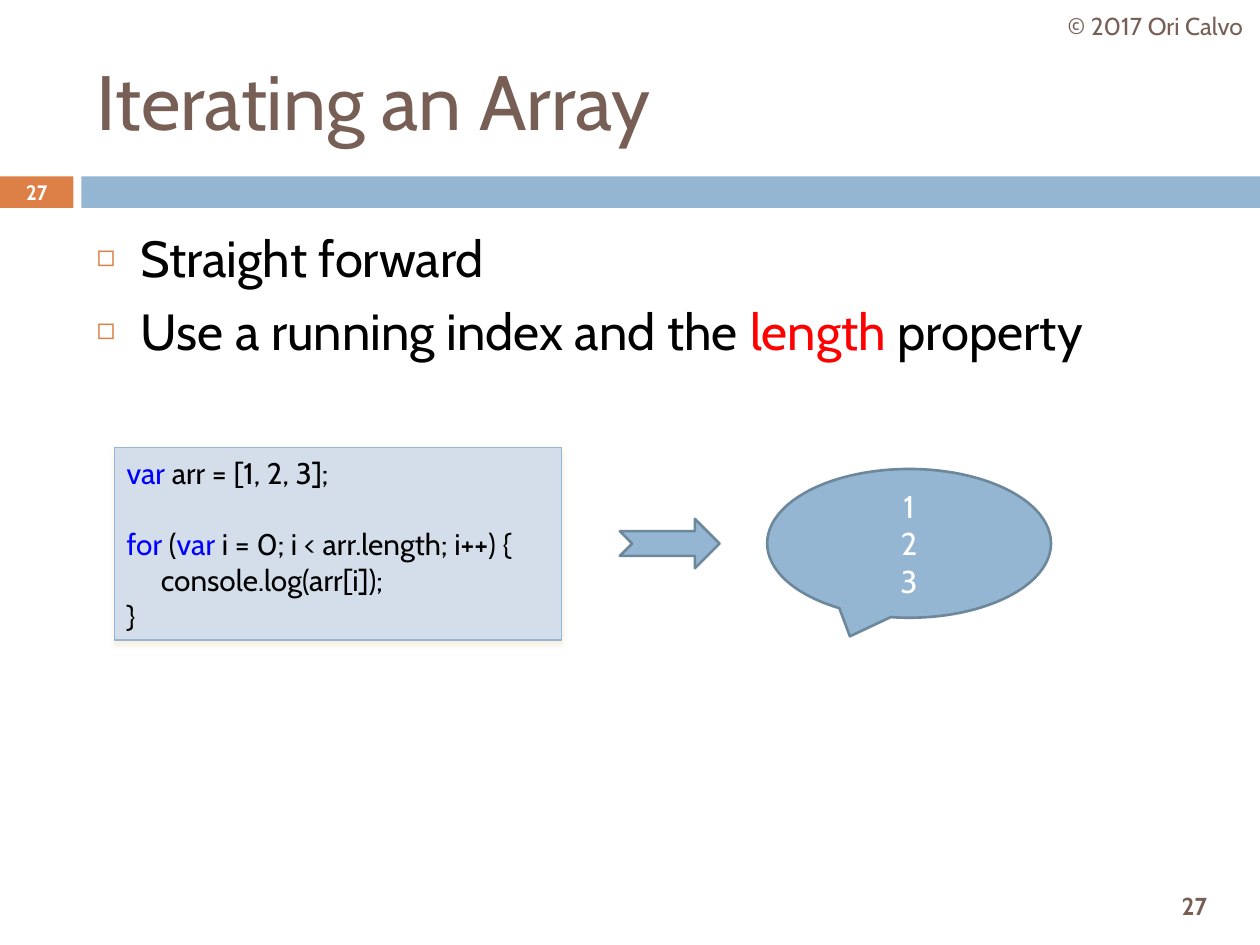
from dataclasses import dataclass
from typing import Optional

from lxml.etree import SubElement
from pptx import Presentation
from pptx.dml.color import RGBColor
from pptx.enum.shapes import MSO_SHAPE
from pptx.enum.text import MSO_ANCHOR, MSO_AUTO_SIZE, PP_ALIGN
from pptx.oxml.ns import qn
from pptx.util import Pt

FONT = "Cabin"
BROWN = RGBColor(0x77, 0x5F, 0x55)
ORANGE = RGBColor(0xDD, 0x80, 0x47)
BLUE = RGBColor(0x94, 0xB6, 0xD2)
DARK_BLUE = RGBColor(0x6D, 0x87, 0x9B)
PALE_BLUE = RGBColor(0xD3, 0xDE, 0xEA)
SAND = RGBColor(0xEB, 0xDD, 0xC3)
KEYWORD = RGBColor(0x00, 0x00, 0xFF)
RED = RGBColor(0xFF, 0x00, 0x00)
BLACK = RGBColor(0x00, 0x00, 0x00)
WHITE = RGBColor(0xFF, 0xFF, 0xFF)


@dataclass
class Span:
    text: str
    color: RGBColor = BLACK


@dataclass
class Line:
    spans: list[Span]
    before: float = 0
    indent: float = 0


@dataclass
class Area:
    left: float
    top: float
    width: float
    height: float

    def lengths(self) -> tuple:
        return Pt(self.left), Pt(self.top), Pt(self.width), Pt(self.height)


@dataclass
class Block:
    preset: MSO_SHAPE
    area: Area
    fill: RGBColor
    line: Optional[RGBColor] = None
    line_width: float = 0


def write(shape, lines: list[Line], size: float, bold: bool = False,
          align=PP_ALIGN.LEFT, anchor=MSO_ANCHOR.MIDDLE) -> None:
    frame = shape.text_frame
    frame.word_wrap = True
    frame.auto_size = MSO_AUTO_SIZE.NONE
    frame.vertical_anchor = anchor
    for number, line in enumerate(lines):
        para = frame.add_paragraph() if number else frame.paragraphs[0]
        para.alignment = align
        para.space_before = Pt(line.before)
        if line.indent:
            para._p.get_or_add_pPr().set("marL", str(Pt(line.indent)))
        for span in line.spans:
            run = para.add_run()
            run.text = span.text
            run.font.name = FONT
            run.font.size = Pt(size)
            run.font.bold = bold
            run.font.color.rgb = span.color


def add_block(page, block: Block):
    shape = page.shapes.add_shape(block.preset, *block.area.lengths())
    shape.shadow.inherit = False
    shape.fill.solid()
    shape.fill.fore_color.rgb = block.fill
    if block.line is None:
        shape.line.fill.background()
    else:
        shape.line.color.rgb = block.line
        shape.line.width = Pt(block.line_width)
    return shape


def add_label(page, area: Area, span: Span, size: float, bold: bool) -> None:
    box = page.shapes.add_textbox(*area.lengths())
    write(box, [Line([span])], size, bold, PP_ALIGN.CENTER)


def place(placeholder, area: Area) -> None:
    (placeholder.left, placeholder.top,
     placeholder.width, placeholder.height) = area.lengths()


def add_bullet(para) -> None:
    properties = para._p.get_or_add_pPr()
    properties.set("marL", str(Pt(25.2)))
    properties.set("indent", str(-Pt(25.2)))
    color = SubElement(properties, qn("a:buClr"))
    SubElement(color, qn("a:srgbClr"), val=str(ORANGE))
    SubElement(properties, qn("a:buSzPct"), val="60000")
    SubElement(properties, qn("a:buChar"), char="◻")


def add_soft_shadow(shape) -> None:
    effects = shape._element.spPr.find(qn("a:effectLst"))
    shadow = SubElement(effects, qn("a:outerShdw"), blurRad=str(Pt(3)),
                        dist=str(Pt(2.4)), dir="5400000", rotWithShape="0")
    color = SubElement(shadow, qn("a:srgbClr"), val=str(SAND))
    SubElement(color, qn("a:alpha"), val="45000")


deck = Presentation()
deck.slide_width, deck.slide_height = Pt(720), Pt(540)
page = deck.slides.add_slide(deck.slide_layouts[1])

# Title and bullet list
title, body = page.placeholders
place(title, Area(48, 18, 642, 78))
write(title, [Line([Span("Iterating an Array", BROWN)])], 44)
place(body, Area(48, 126, 642, 354))
write(body, [
    Line([Span("Straight forward")], before=7),
    Line([Span("Use a running index and the "), Span("length", RED),
          Span(" property")], before=7),
], 29, anchor=MSO_ANCHOR.TOP)
for para in body.text_frame.paragraphs:
    add_bullet(para)

# Divider band
add_block(page, Block(MSO_SHAPE.RECTANGLE, Area(0, 100.8, 42, 18), ORANGE))
add_block(page, Block(MSO_SHAPE.RECTANGLE, Area(46.5, 100.8, 673.5, 18), BLUE))

# Page numbers and copyright
add_label(page, Area(0, 100, 42, 19.5), Span("27", WHITE), 11.9, True)
add_label(page, Area(649.5, 502.5, 66, 30), Span("27", BROWN), 14, True)
add_label(page, Area(600.5, 0, 119.5, 29), Span("© 2017 Ori Calvo", BROWN), 14, False)

# Code panel
code = add_block(page, Block(MSO_SHAPE.RECTANGLE, Area(65.3, 255.6, 255.6, 110.2),
                             PALE_BLUE, BLUE, 0.75))
add_soft_shadow(code)
write(code, [
    Line([Span("var ", KEYWORD), Span("arr = [1, 2, 3];")]),
    Line([Span("for", KEYWORD), Span(" ("), Span("var ", KEYWORD),
          Span("i = 0; i < arr.length; i++) {")], before=20.4),
    Line([Span("console.log(arr[i]);")], indent=19.5),
    Line([Span("}")]),
], 17)

# Arrow to the printed output
add_block(page, Block(MSO_SHAPE.NOTCHED_RIGHT_ARROW, Area(354.2, 296.5, 57, 28.2),
                      BLUE, DARK_BLUE, 1.5))
output = add_block(page, Block(MSO_SHAPE.OVAL_CALLOUT, Area(438.4, 268, 162.2, 85),
                               BLUE, DARK_BLUE, 1.5))
write(output, [Line([Span(digit, WHITE)]) for digit in "123"], 18,
      align=PP_ALIGN.CENTER)

deck.save("out.pptx")
